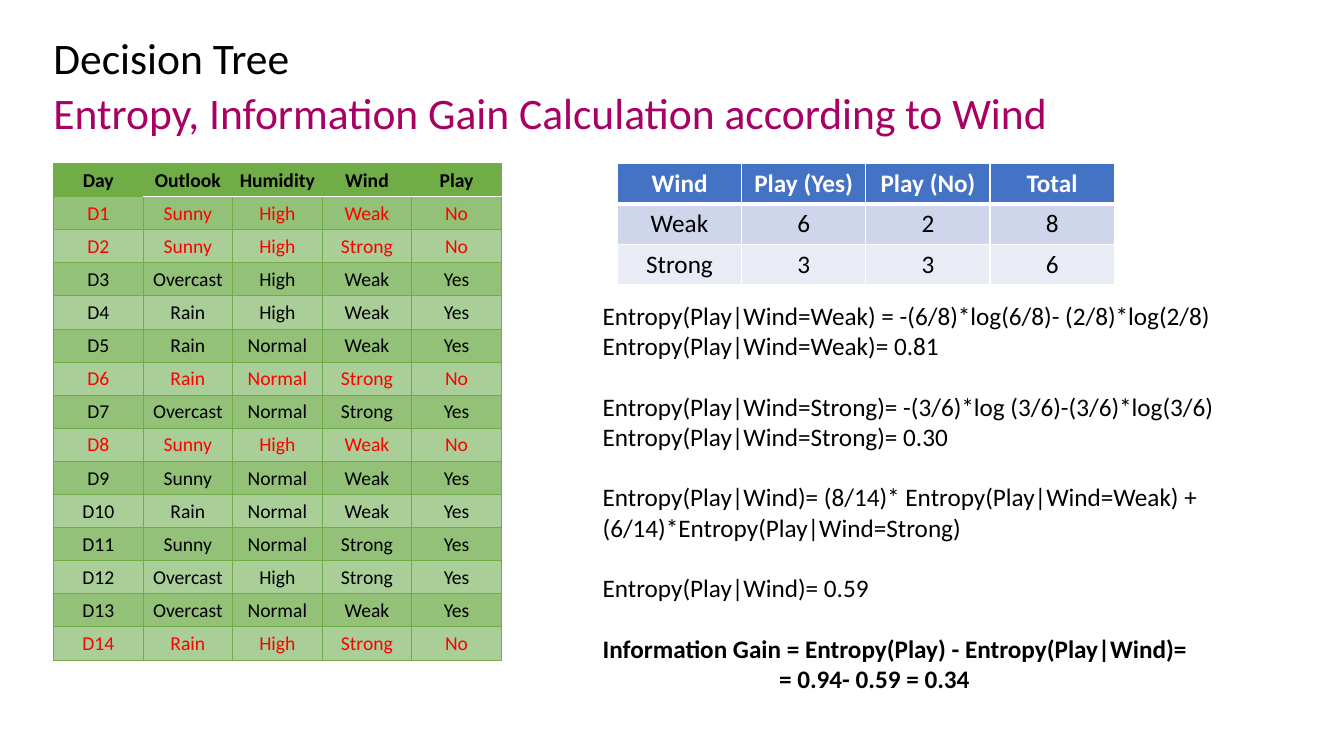
from dataclasses import dataclass

from lxml import etree
from pptx import Presentation
from pptx.dml.color import RGBColor
from pptx.enum.text import MSO_ANCHOR, MSO_AUTO_SIZE, PP_ALIGN
from pptx.oxml.ns import qn
from pptx.util import Pt

LEFT, CENTER = PP_ALIGN.LEFT, PP_ALIGN.CENTER
TOP, MIDDLE = MSO_ANCHOR.TOP, MSO_ANCHOR.MIDDLE
FIXED = MSO_AUTO_SIZE.NONE


@dataclass(frozen=True)
class Theme:
    font: str = "Calibri"
    head: float = 31.1
    body: float = 18
    small: float = 14
    ink: str = "000000"
    white: str = "FFFFFF"
    plum: str = "A80163"
    red: str = "FF0000"
    green: str = "70AD47"
    dark: str = "92C177"
    light: str = "A9CE97"
    blue: str = "4472C4"
    pale: str = "CFD5EA"
    mist: str = "E9EBF5"


THEME = Theme()

DAYS = [
    ("Day", "Outlook", "Humidity", "Wind", "Play"),
    ("D1", "Sunny", "High", "Weak", "No"),
    ("D2", "Sunny", "High", "Strong", "No"),
    ("D3", "Overcast", "High", "Weak", "Yes"),
    ("D4", "Rain", "High", "Weak", "Yes"),
    ("D5", "Rain", "Normal", "Weak", "Yes"),
    ("D6", "Rain", "Normal", "Strong", "No"),
    ("D7", "Overcast", "Normal", "Strong", "Yes"),
    ("D8", "Sunny", "High", "Weak", "No"),
    ("D9", "Sunny", "Normal", "Weak", "Yes"),
    ("D10", "Rain", "Normal", "Weak", "Yes"),
    ("D11", "Sunny", "Normal", "Strong", "Yes"),
    ("D12", "Overcast", "High", "Strong", "Yes"),
    ("D13", "Overcast", "Normal", "Weak", "Yes"),
    ("D14", "Rain", "High", "Strong", "No"),
]

COUNTS = [
    ("Wind", "Play (Yes)", "Play (No)", "Total"),
    ("Weak", "6", "2", "8"),
    ("Strong", "3", "3", "6"),
]

STEPS = [
    ["Entropy(Play|Wind=Weak) = -(6/8)*log(6/8)- (2/8)*log(2/8)",
     "Entropy(Play|Wind=Weak)= 0.81"],
    ["Entropy(Play|Wind=Strong)= -(3/6)*log (3/6)-(3/6)*log(3/6)",
     "Entropy(Play|Wind=Strong)= 0.30"],
    ["Entropy(Play|Wind)= (8/14)* Entropy(Play|Wind=Weak) +",
     "(6/14)*Entropy(Play|Wind=Strong)"],
    ["Entropy(Play|Wind)= 0.59"],
]
GAIN = ["Information Gain = Entropy(Play) - Entropy(Play|Wind)=",
        "= 0.94- 0.59 = 0.34"]


def add_run(para, text, size, color, bold=False):
    run = para.add_run()
    run.text = text
    font = run.font
    font.name, font.size, font.bold = THEME.font, Pt(size), bold
    font.color.rgb = RGBColor.from_string(color)


def set_edge(cell, side, color, width):
    line = etree.SubElement(cell._tc.get_or_add_tcPr(), qn(f"a:ln{side}"),
                            w=str(Pt(width)))
    fill = etree.SubElement(line, qn("a:solidFill"))
    etree.SubElement(fill, qn("a:srgbClr"), val=color)


def fill_cell(cell, text, size, color, bold, fill, edges):
    for side in "LRTB":
        set_edge(cell, side, *edges[side])
    cell.fill.solid()
    cell.fill.fore_color.rgb = RGBColor.from_string(fill)
    para = cell.text_frame.paragraphs[0]
    para.alignment = CENTER
    add_run(para, text, size, color, bold)


def add_grid(slide, box, data):
    x, y, w, h = box
    rows, cols = len(data), len(data[0])
    grid = slide.shapes.add_table(rows, cols, Pt(x), Pt(y), Pt(w), Pt(h)).table
    for col in grid.columns:
        col.width = Pt(w / cols)
    for row in grid.rows:
        row.height = Pt(h / rows)
    return grid


def add_days(slide, box):
    grid = add_grid(slide, box, DAYS)
    for r, row in enumerate(DAYS):
        color = THEME.red if row[-1] == "No" else THEME.ink
        fill = THEME.dark if r % 2 else THEME.light
        if r == 0:
            fill = THEME.green
        for c, text in enumerate(row):
            edges = dict.fromkeys("LRTB", (THEME.green, 0.5))
            if c and r < 2:
                edges["T" if r else "B"] = (THEME.white, 1)
            cell = grid.cell(r, c)
            cell.vertical_anchor = MIDDLE
            cell.margin_left = cell.margin_right = cell.margin_top = Pt(0.7)
            cell.margin_bottom = Pt(0)
            fill_cell(cell, text, THEME.small, color, r == 0, fill, edges)


def add_counts(slide, box):
    grid = add_grid(slide, box, COUNTS)
    fills = (THEME.blue, THEME.pale, THEME.mist)
    for r, row in enumerate(COUNTS):
        color = THEME.ink if r else THEME.white
        edges = dict.fromkeys("LRTB", (THEME.white, 1))
        if r < 2:
            edges["T" if r else "B"] = (THEME.white, 3)
        for c, text in enumerate(row):
            fill_cell(grid.cell(r, c), text, THEME.body, color, r == 0,
                      fills[r], edges)


def set_head(shape, box, text, color):
    shape.left, shape.top, shape.width, shape.height = map(Pt, box)
    frame = shape.text_frame
    frame.word_wrap, frame.auto_size = True, FIXED
    frame.vertical_anchor = TOP
    frame.margin_left = frame.margin_right = Pt(0)
    frame.margin_top = frame.margin_bottom = Pt(0)
    para = frame.paragraphs[0]
    para.alignment, para.line_spacing = LEFT, 0.89
    add_run(para, text, THEME.head, color)


def add_heads(slide, box):
    x, y, w, h = box
    row = 34
    set_head(slide.shapes.title, (x, y, w, row), "Decision Tree", THEME.ink)
    sub = slide.shapes.add_textbox(0, 0, 0, 0)
    set_head(sub, (x, y + h - row, w, row),
             "Entropy, Information Gain Calculation according to Wind",
             THEME.plum)


def add_steps(slide, box):
    frame = slide.shapes.add_textbox(*map(Pt, box)).text_frame
    frame.word_wrap = True
    para = frame.paragraphs[0]
    for group in STEPS + [GAIN]:
        for i, text in enumerate(group):
            if para.runs:
                para = frame.add_paragraph()
                para.space_before = Pt(0 if i else 21.6)
            add_run(para, text, THEME.body, THEME.ink, group is GAIN)
    props = para._p.get_or_add_pPr()
    props.set("marL", str(Pt(126)))
    props.set("indent", "0")


def main():
    deck = Presentation()
    deck.slide_width, deck.slide_height = Pt(960), Pt(540)
    slide = deck.slides.add_slide(deck.slide_layouts[5])
    add_days(slide, (38.2, 116.7, 320, 355))
    add_heads(slide, (38.2, 26.6, 914, 73.6))
    add_steps(slide, (423.4, 211, 498, 291))
    add_counts(slide, (441, 116.7, 355, 86.4))
    deck.save("out.pptx")


if __name__ == "__main__":
    main()
